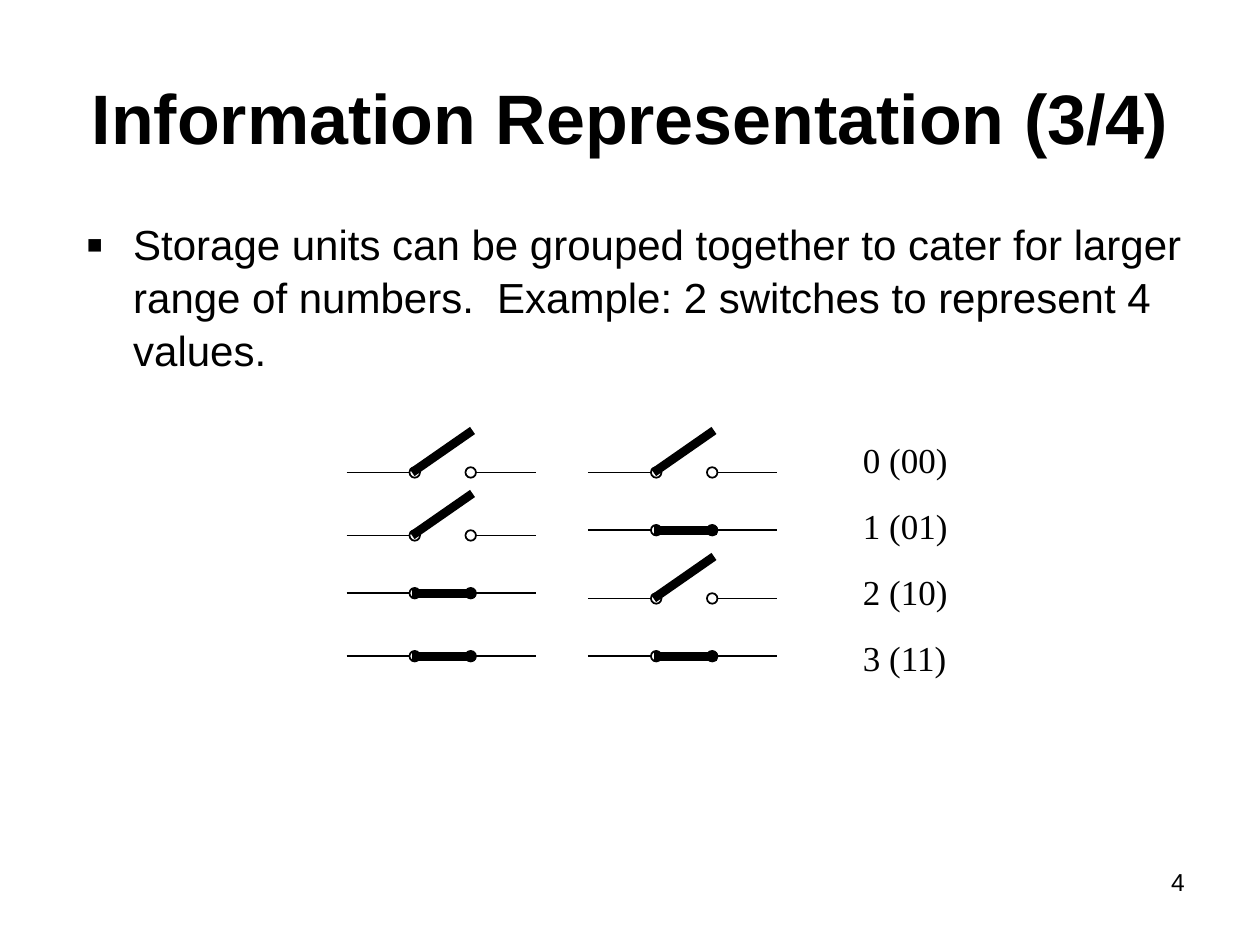
import dataclasses

import lxml.etree
import pptx
import pptx.dml.color
import pptx.enum.shapes
import pptx.enum.text
import pptx.oxml.ns
import pptx.util

ALIGN = pptx.enum.text.PP_ALIGN
ANCHOR = pptx.enum.text.MSO_ANCHOR
Pt = pptx.util.Pt


@dataclasses.dataclass
class Theme:
    ink: pptx.dml.color.RGBColor = pptx.dml.color.RGBColor(0, 0, 0)
    paper: pptx.dml.color.RGBColor = pptx.dml.color.RGBColor(255, 255, 255)
    sans: str = "Arial"
    serif: str = "Times New Roman"
    title_size: float = 40
    body_size: float = 24
    label_size: float = 20
    number_size: float = 14
    wire_width: float = 1
    blade_width: float = 5
    line_spacing: float = 1.05


class SlideBuilder:
    """Draws styled text and switch symbols on one slide, in points."""

    def __init__(self, slide, theme):
        self.slide = slide
        self.theme = theme

    def text(self, box, lines, size, font=None, bold=False, align=ALIGN.LEFT,
             anchor=ANCHOR.TOP, gap=0, spacing=None):
        shape = self.slide.shapes.add_textbox(*map(Pt, box))
        frame = shape.text_frame
        frame.word_wrap = True
        frame.vertical_anchor = anchor
        frame.text = "\n".join(lines)
        for index, paragraph in enumerate(frame.paragraphs):
            paragraph.alignment = align
            if spacing:
                paragraph.line_spacing = spacing
            if index:
                paragraph.space_before = Pt(gap)
            for run in paragraph.runs:
                run.font.size = Pt(size)
                run.font.name = font or self.theme.sans
                run.font.bold = bold
                run.font.color.rgb = self.theme.ink
        return shape

    def bullet(self, box, line, indent):
        shape = self.text(box, [line], self.theme.body_size,
                          spacing=self.theme.line_spacing)
        properties = shape.text_frame.paragraphs[0]._p.get_or_add_pPr()
        properties.set("marL", str(Pt(indent)))
        properties.set("indent", str(-Pt(indent)))
        for tag, name, value in (("a:buSzPct", "val", "120000"),
                                 ("a:buFont", "typeface", self.theme.sans),
                                 ("a:buChar", "char", "▪")):
            element = lxml.etree.SubElement(properties, pptx.oxml.ns.qn(tag))
            element.set(name, value)

    def line(self, start, end, width):
        connector = self.slide.shapes.add_connector(
            pptx.enum.shapes.MSO_CONNECTOR.STRAIGHT, *map(Pt, start + end))
        connector.line.color.rgb = self.theme.ink
        connector.line.width = Pt(width)
        lxml.etree.SubElement(connector._element.spPr, pptx.oxml.ns.qn("a:effectLst"))

    def contact(self, left, middle, diameter=6):
        shape = self.slide.shapes.add_shape(
            pptx.enum.shapes.MSO_SHAPE.OVAL,
            Pt(left), Pt(middle - diameter / 2), Pt(diameter), Pt(diameter))
        shape.shadow.inherit = False
        shape.fill.solid()
        shape.fill.fore_color.rgb = self.theme.paper
        shape.line.color.rgb = self.theme.ink
        shape.line.width = Pt(self.theme.wire_width)

    def switch(self, left, middle, closed):
        for offset in (0, 72):
            start = left + offset
            self.line((start, middle), (start + 36, middle), self.theme.wire_width)
        for offset in (36, 68):
            self.contact(left + offset, middle)
        tip = (left + 73.5, middle) if closed else (left + 72, middle - 24)
        self.line((left + 37.5, middle), tip, self.theme.blade_width)


def main():
    presentation = pptx.Presentation()
    presentation.slide_width = Pt(720)
    presentation.slide_height = Pt(540)
    theme = Theme()
    builder = SlideBuilder(
        presentation.slides.add_slide(presentation.slide_layouts[6]), theme)

    builder.text((516, 492, 168, 37.5), ["4"], theme.number_size, align=ALIGN.RIGHT)
    builder.text((36, 21.5, 648, 90), ["Information Representation (3/4)"],
                 theme.title_size, bold=True, align=ALIGN.CENTER, anchor=ANCHOR.MIDDLE)
    builder.bullet(
        (42, 120, 644, 94),
        "Storage units can be grouped together to cater for larger range of numbers.  "
        "Example: 2 switches to represent 4 values.", indent=27)

    codes = [f"{value:02b}" for value in range(4)]
    for row, code in enumerate(codes):
        for column, bit in enumerate(code):
            closed = bit == "1"
            middle = (267 if closed else 270) + 36 * row
            builder.switch(198 + 138 * column, middle, closed)
    builder.text((486, 246, 93.5, 141),
                 [f"{value} ({code})" for value, code in enumerate(codes)],
                 theme.label_size, theme.serif, gap=12.5, spacing=theme.line_spacing)

    presentation.save("out.pptx")


if __name__ == "__main__":
    main()
